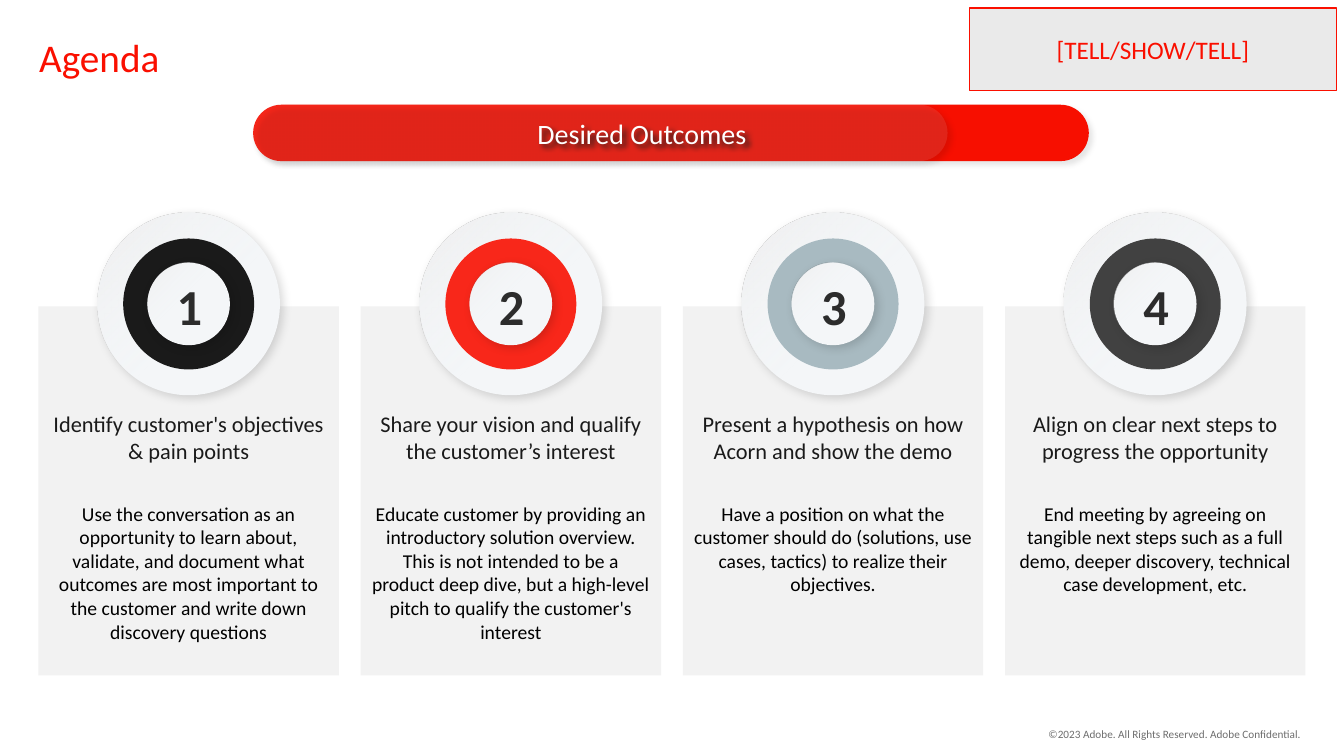
from dataclasses import dataclass

from lxml import etree
from pptx import Presentation
from pptx.dml.color import RGBColor
from pptx.enum.shapes import MSO_SHAPE
from pptx.enum.text import MSO_ANCHOR, PP_ALIGN
from pptx.oxml.ns import qn
from pptx.util import Cm, Pt

RECT, OVAL, PILL = MSO_SHAPE.RECTANGLE, MSO_SHAPE.OVAL, MSO_SHAPE.ROUNDED_RECTANGLE
LEFT, CENTER, RIGHT = PP_ALIGN.LEFT, PP_ALIGN.CENTER, PP_ALIGN.RIGHT
MIDDLE = MSO_ANCHOR.MIDDLE


@dataclass(frozen=True)
class Theme:
    font: str = "Calibri"
    red: str = "FA0F00"
    banner: str = "F70F00"
    disc: str = "F4F6F8"
    disc_shade: str = "EEEEEE"
    card: str = "F2F2F2"
    tag: str = "EAEAEA"
    white: str = "FFFFFF"
    black: str = "000000"
    heading: str = "1A1A1A"
    digit: str = "2C2C2C"
    footer: str = "6E6E6E"
    digit_size: int = 36
    title_size: int = 28
    banner_size: int = 20
    tag_size: int = 18
    heading_size: int = 16
    body_size: int = 14
    footer_size: int = 8


THEME = Theme()

# Ring colour, heading and body of each step
STEPS = [
    ("1A1A1A", "Identify customer's objectives & pain points",
     "Use the conversation as an opportunity to learn about, validate, and document "
     "what outcomes are most important to the customer and write down discovery questions"),
    ("F8271A", "Share your vision and qualify the customer’s interest",
     "Educate customer by providing an introductory solution overview. This is not "
     "intended to be a product deep dive, but a high-level pitch to qualify the "
     "customer's interest"),
    ("A8BAC1", "Present a hypothesis on how Acorn and show the demo",
     "Have a position on what the customer should do (solutions, use cases, tactics) "
     "to realize their objectives."),
    ("414141", "Align on clear next steps to progress the opportunity",
     "End meeting by agreeing on tangible next steps such as a full demo, deeper "
     "discovery, technical case development, etc."),
]

CARD_LEFT, CARD_TOP, CARD_WIDTH, CARD_HEIGHT = 0.97, 7.72, 7.57, 9.3
CARD_PITCH = 8.12
BADGE_MIDDLE = 7.66
BADGE_SIZE, RING_SIZE, HOLE_SIZE = 4.6, 3.3, 2.08


def set_alpha(color_parent, percent):
    color = next(color_parent.iter(qn("a:srgbClr")))
    etree.SubElement(color, qn("a:alpha"), val=str(percent * 1000))


def add_shadow(shape, percent, blur, distance):
    effects = shape._element.spPr.find(qn("a:effectLst"))
    shadow = etree.SubElement(
        effects, qn("a:outerShdw"), blurRad=str(Pt(blur)), dist=str(Pt(distance)),
        dir="2700000", algn="tl", rotWithShape="0")
    etree.SubElement(shadow, qn("a:srgbClr"), val=THEME.black)
    set_alpha(shadow, percent)


def add_filled(shapes, kind, left, top, width, height, color):
    shape = shapes.add_shape(kind, Cm(left), Cm(top), Cm(width), Cm(height))
    shape.shadow.inherit = False
    shape.fill.solid()
    shape.fill.fore_color.rgb = RGBColor.from_string(color)
    shape.line.fill.background()
    return shape


def write(shape, text, size, color, align=CENTER, bold=False):
    frame = shape.text_frame
    frame.text = text
    frame.word_wrap = True
    paragraph = frame.paragraphs[0]
    paragraph.alignment = align
    font = paragraph.runs[0].font
    font.name, font.size, font.bold = THEME.font, Pt(size), bold
    font.color.rgb = RGBColor.from_string(color)
    return frame


def add_label(shapes, left, top, width, height, *style, **options):
    box = shapes.add_textbox(Cm(left), Cm(top), Cm(width), Cm(height))
    return write(box, *style, **options)


def add_circle(shapes, center, size, color):
    return add_filled(shapes, OVAL, center - size / 2, BADGE_MIDDLE - size / 2,
                      size, size, color)


def add_disc(shapes, center, size, fade_end):
    """Draw a shadowed disc under a sheen that fades out at fade_end."""
    add_shadow(add_circle(shapes, center, size, THEME.disc), 15, 7, 3)
    sheen = add_circle(shapes, center, size, THEME.disc)
    sheen.fill.gradient()
    sheen.fill.gradient_angle = 315
    start, end = sheen.fill.gradient_stops
    start.position, end.position = 0, fade_end
    start.color.rgb = RGBColor.from_string(THEME.disc_shade)
    end.color.rgb = RGBColor.from_string(THEME.disc)
    set_alpha(sheen._element.spPr.findall(".//" + qn("a:gs"))[1], 0)


def add_badge(slide, center, number, ring_color):
    shapes = slide.shapes.add_group_shape().shapes
    add_disc(shapes, center, BADGE_SIZE, 0.56)
    add_circle(shapes, center, RING_SIZE, ring_color)
    add_disc(shapes, center, HOLE_SIZE, 0.42)
    digit = add_label(shapes, center - 0.55, 6.81, 1.1, 1.8, str(number),
                      THEME.digit_size, THEME.digit, bold=True)
    digit.word_wrap = False
    digit.paragraphs[0].runs[0].font._element.set("spc", "-150")


def add_step(slide, index, ring_color, heading, body):
    left = CARD_LEFT + index * CARD_PITCH
    add_filled(slide.shapes, RECT, left, CARD_TOP, CARD_WIDTH, CARD_HEIGHT, THEME.card)
    add_badge(slide, left + CARD_WIDTH / 2, index + 1, ring_color)
    add_label(slide.shapes, left, 10.21, CARD_WIDTH, 1.63, heading,
              THEME.heading_size, THEME.heading)
    add_label(slide.shapes, left, 12.52, CARD_WIDTH, 3.8, body,
              THEME.body_size, THEME.black)


def add_banner(slide, text):
    shapes = slide.shapes.add_group_shape().shapes
    base = add_filled(shapes, PILL, 6.38, 2.64, 21.06, 1.42, THEME.banner)
    overlay = add_filled(shapes, PILL, 6.38, 2.64, 17.5, 1.42, THEME.disc)
    set_alpha(overlay._element.spPr, 10)
    for pill in (base, overlay):
        pill.adjustments[0] = 0.5
        add_shadow(pill, 10, 4, 3)
    frame = write(overlay, text, THEME.banner_size, THEME.white)
    frame.vertical_anchor = MIDDLE
    frame.margin_left = Cm(2.35)


def add_title(slide, text):
    frame = add_label(slide.shapes, 0.86, 0.86, 22, 1.8, text,
                      THEME.title_size, THEME.red, align=LEFT)
    frame.margin_left = frame.margin_right = Cm(0.13)
    frame.paragraphs[0].line_spacing = 0.9


def add_tag(slide, text):
    tag = add_filled(slide.shapes, RECT, 24.43, 0.2, 9.25, 2.08, THEME.tag)
    tag.line.color.rgb = RGBColor.from_string(THEME.red)
    tag.line.width = Pt(1)
    write(tag, text, THEME.tag_size, THEME.red).vertical_anchor = MIDDLE


def main():
    deck = Presentation()
    deck.slide_width, deck.slide_height = Cm(33.87), Cm(19.05)
    slide = deck.slides.add_slide(deck.slide_layouts[6])
    add_label(slide.shapes, 25.83, 18.21, 7.21, 0.76,
              "©2023 Adobe. All Rights Reserved. Adobe Confidential.",
              THEME.footer_size, THEME.footer, align=RIGHT)
    add_title(slide, "Agenda")
    add_banner(slide, "Desired Outcomes")
    for index, step in enumerate(STEPS):
        add_step(slide, index, *step)
    add_tag(slide, "[TELL/SHOW/TELL]")
    deck.save("out.pptx")


if __name__ == "__main__":
    main()
